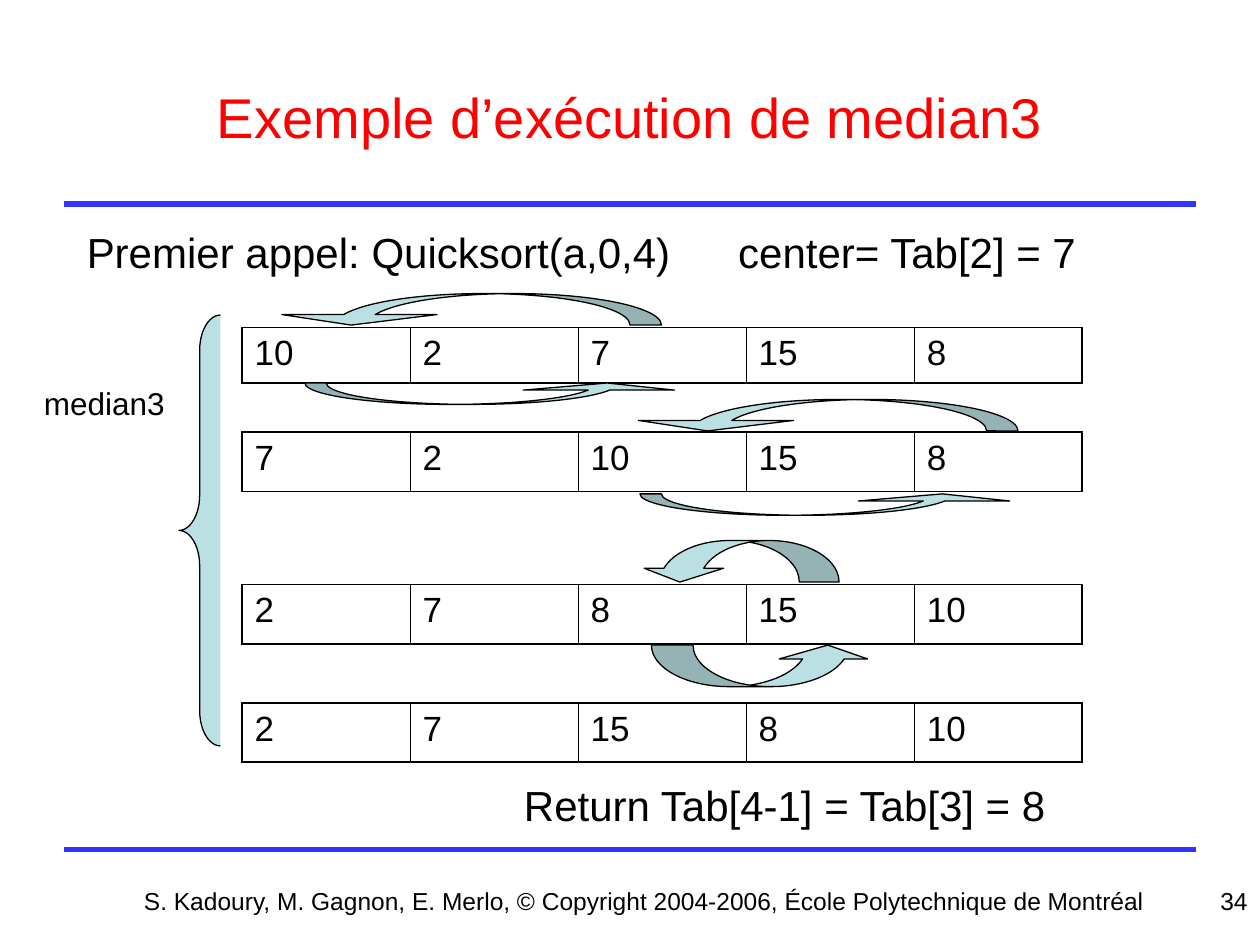
from typing import NamedTuple

import pptx
import pptx.dml.color
import pptx.enum.shapes
import pptx.enum.text
import pptx.oxml.ns
import pptx.slide
import pptx.table
import pptx.util
from lxml import etree
from pptx.util import Inches

RGBColor = pptx.dml.color.RGBColor
Align = pptx.enum.text.PP_ALIGN
Anchor = pptx.enum.text.MSO_ANCHOR
ShapeKind = pptx.enum.shapes.MSO_SHAPE
qn = pptx.oxml.ns.qn

BLACK = RGBColor(0x00, 0x00, 0x00)
RED = RGBColor(0xFF, 0x00, 0x00)
RULE_BLUE = RGBColor(0x33, 0x33, 0xFF)
PALE_TEAL = RGBColor(0xBB, 0xE0, 0xE3)

FONT = "Arial"
TABLE_LEFT, TABLE_WIDTH = 1.92, 6.67
OUTER_BORDER, INNER_BORDER = 1.08, 0.45


class Label(NamedTuple):
    text: str
    left: float
    top: float
    width: float
    height: float
    size: int
    color: RGBColor = BLACK
    align: Align = Align.LEFT
    anchor: Anchor = Anchor.TOP
    wrap: bool = True


class ArrayState(NamedTuple):
    top: float
    height: float
    values: tuple[int, ...]


class SwapArrow(NamedTuple):
    left: float
    top: float
    width: float
    height: float
    above: bool  # above the array, pointing back to the left


LABELS = [
    Label("Exemple d’exécution de median3", 0.5, 0.3, 9, 1.25, 32, RED,
          Align.CENTER, Anchor.MIDDLE),
    Label("Premier appel: Quicksort(a,0,4)", 0.59, 1.75, 5.49, 0.5, 24),
    Label("center= Tab[2] = 7", 5.76, 1.75, 3.01, 0.5, 24, wrap=False),
    Label("median3", 0.25, 3, 1.33, 0.4, 18),
    Label("Return Tab[4-1] = Tab[3] = 8", 4.06, 6.14, 4.95, 0.5, 24),
    Label("S. Kadoury, M. Gagnon, E. Merlo, © Copyright 2004-2006, "
          "École Polytechnique de Montréal",
          0.98, 6.98, 8.27, 0.52, 14, align=Align.CENTER),
    Label("34", 7.67, 6.98, 2.33, 0.52, 14, align=Align.RIGHT),
]

ARRAY_STATES = [
    ArrayState(2.6, 0.44, (10, 2, 7, 15, 8)),
    ArrayState(3.43, 0.47, (7, 2, 10, 15, 8)),
    ArrayState(4.64, 0.47, (2, 7, 8, 15, 10)),
    ArrayState(5.58, 0.47, (2, 7, 15, 8, 10)),
]

SWAP_ARROWS = [
    SwapArrow(2.17, 2.33, 3.08, 0.25, True),
    SwapArrow(2.42, 3.04, 3, 0.17, False),
    SwapArrow(5, 3.17, 3.08, 0.25, True),
    SwapArrow(5.08, 3.92, 3, 0.17, False),
    SwapArrow(5.08, 4.29, 1.58, 0.33, True),
    SwapArrow(5.17, 5.12, 1.75, 0.33, False),
]


def add_rule(slide: pptx.slide.Slide, y: float) -> None:
    rule = slide.shapes.add_connector(
        pptx.enum.shapes.MSO_CONNECTOR.STRAIGHT,
        Inches(0.51), Inches(y), Inches(9.49), Inches(y))
    rule.line.color.rgb = RULE_BLUE
    rule.line.width = pptx.util.Pt(3)
    etree.SubElement(rule._element.spPr, qn("a:effectLst"))


def add_label(slide: pptx.slide.Slide, label: Label) -> None:
    box = slide.shapes.add_textbox(Inches(label.left), Inches(label.top),
                                   Inches(label.width), Inches(label.height))
    frame = box.text_frame
    frame.word_wrap = label.wrap
    frame.vertical_anchor = label.anchor
    paragraph = frame.paragraphs[0]
    paragraph.text = label.text
    paragraph.alignment = label.align
    set_font(paragraph, label.size, label.color)


def set_font(paragraph, size: int, color: RGBColor) -> None:
    paragraph.font.name = FONT
    paragraph.font.size = pptx.util.Pt(size)
    paragraph.font.color.rgb = color


def add_border(cell: pptx.table._Cell, side: str, width: float) -> None:
    border = etree.SubElement(cell._tc.get_or_add_tcPr(), qn(f"a:ln{side}"),
                              w=str(int(pptx.util.Pt(width))))
    fill = etree.SubElement(border, qn("a:solidFill"))
    etree.SubElement(fill, qn("a:srgbClr"), val=str(BLACK))


def add_array(slide: pptx.slide.Slide, state: ArrayState) -> None:
    count = len(state.values)
    table = slide.shapes.add_table(
        1, count, Inches(TABLE_LEFT), Inches(state.top),
        Inches(TABLE_WIDTH), Inches(state.height)).table
    table.first_row = table.horz_banding = False
    for index, value in enumerate(state.values):
        cell = table.cell(0, index)
        add_border(cell, "L", OUTER_BORDER if index == 0 else INNER_BORDER)
        add_border(cell, "R", OUTER_BORDER if index == count - 1 else INNER_BORDER)
        add_border(cell, "T", OUTER_BORDER)
        add_border(cell, "B", OUTER_BORDER)
        cell.fill.background()
        cell.text = str(value)
        set_font(cell.text_frame.paragraphs[0], 20, BLACK)


def add_outlined(slide: pptx.slide.Slide, kind: ShapeKind, left: float,
                 top: float, width: float, height: float,
                 adjustments: tuple[float, ...]):
    shape = slide.shapes.add_shape(kind, Inches(left), Inches(top),
                                   Inches(width), Inches(height))
    shape.shadow.inherit = False
    shape.fill.solid()
    shape.fill.fore_color.rgb = PALE_TEAL
    shape.line.color.rgb = BLACK
    shape.line.width = pptx.util.Pt(0.75)
    for index, adjustment in enumerate(adjustments):
        shape.adjustments[index] = adjustment
    return shape


def add_swap_arrow(slide: pptx.slide.Slide, arrow: SwapArrow) -> None:
    kind = ShapeKind.CURVED_DOWN_ARROW if arrow.above else ShapeKind.CURVED_UP_ARROW
    # Shaft is a fifth of the width, head two fifths wide and a third high
    ratio = arrow.width / arrow.height
    shape = add_outlined(slide, kind, arrow.left, arrow.top, arrow.width,
                         arrow.height, (0.2 * ratio, 0.4 * ratio, 1 / 3))
    if arrow.above:
        shape._element.spPr.find(qn("a:xfrm")).set("flipH", "1")


def main() -> None:
    presentation = pptx.Presentation()
    presentation.slide_width = Inches(10)
    presentation.slide_height = Inches(7.5)
    slide = presentation.slides.add_slide(presentation.slide_layouts[6])

    # Rules below the title and above the footer
    for y in (1.62, 6.74):
        add_rule(slide, y)

    # Array after each step, with the swaps between steps
    for state in ARRAY_STATES:
        add_array(slide, state)
    for arrow in SWAP_ARROWS:
        add_swap_arrow(slide, arrow)

    # Brace grouping the steps of median3
    add_outlined(slide, ShapeKind.LEFT_BRACE, 1.42, 2.5, 0.33, 3.42, (0.85, 0.5))

    # Title, captions and footer
    for label in LABELS:
        add_label(slide, label)

    presentation.save("out.pptx")


if __name__ == "__main__":
    main()
